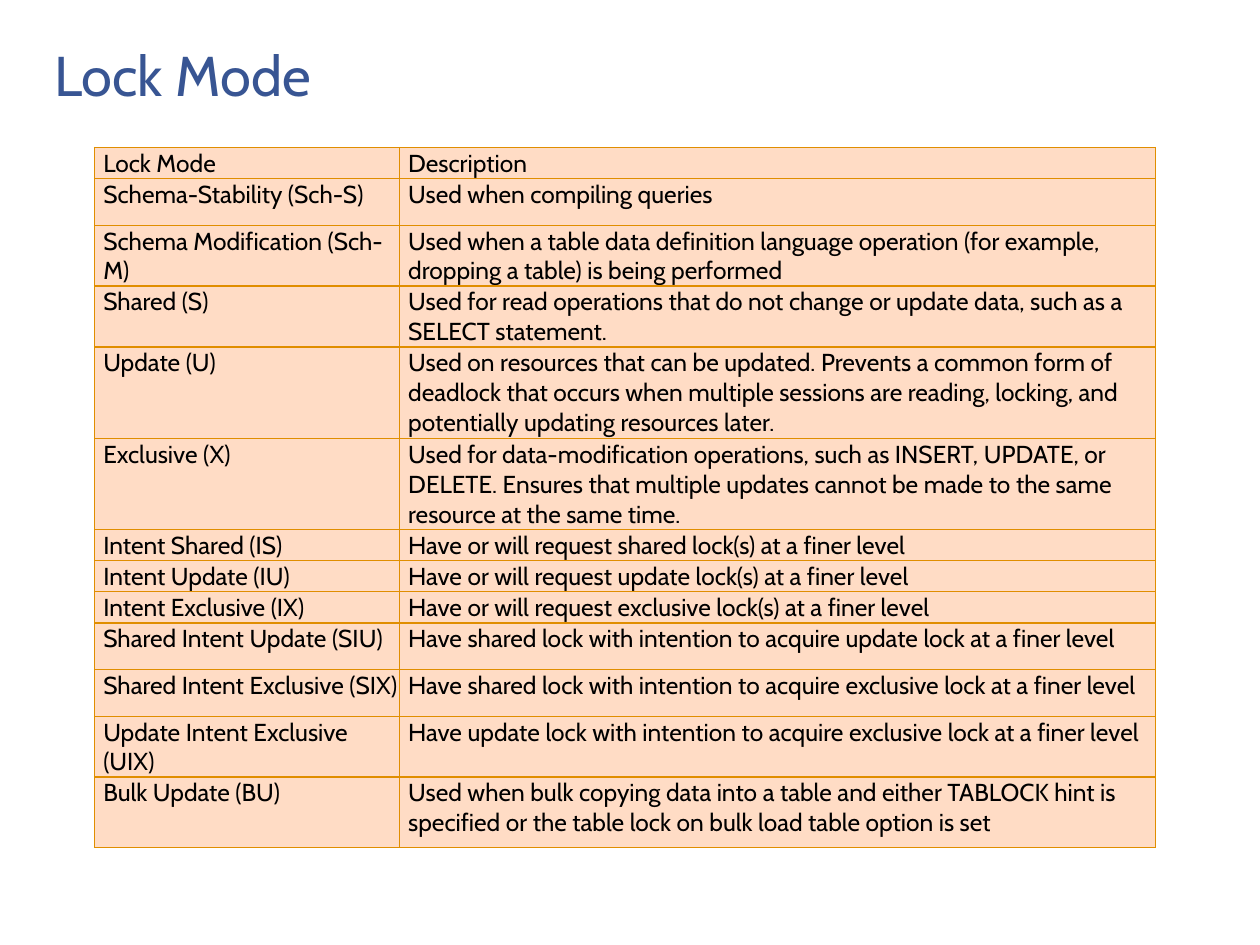
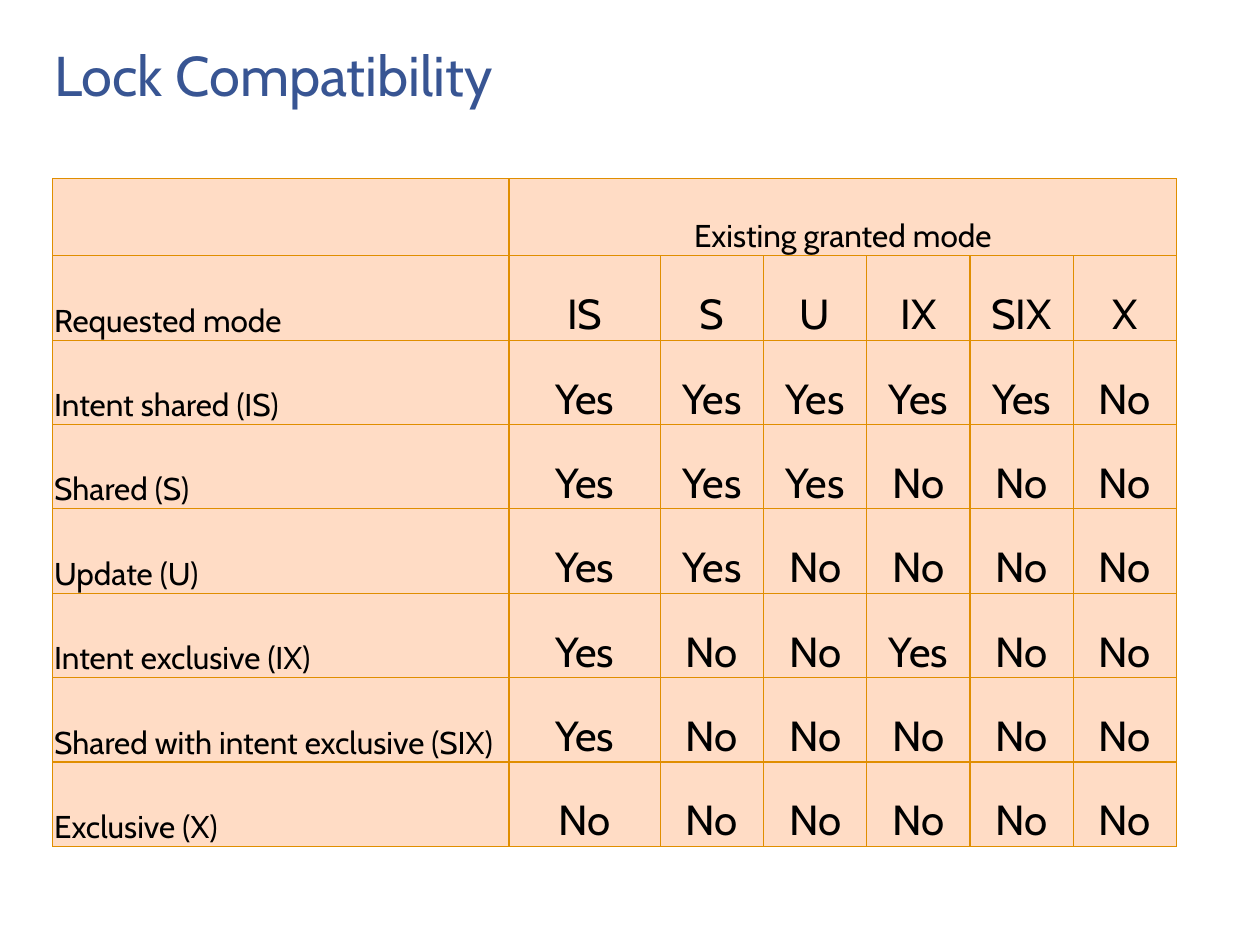
from dataclasses import dataclass

from lxml import etree
from pptx import Presentation
from pptx.dml.color import RGBColor
from pptx.enum.text import MSO_ANCHOR, MSO_AUTO_SIZE, PP_ALIGN
from pptx.oxml.ns import qn
from pptx.util import Inches, Pt

LEFT, CENTER = PP_ALIGN.LEFT, PP_ALIGN.CENTER
TOP, MIDDLE, BOTTOM = MSO_ANCHOR.TOP, MSO_ANCHOR.MIDDLE, MSO_ANCHOR.BOTTOM
NO_AUTOFIT = MSO_AUTO_SIZE.NONE
TITLE_ONLY = 5


@dataclass(frozen=True)
class Theme:
    font: str = "Cabin"
    title_color: str = "385593"
    text_color: str = "000000"
    cell_fill: str = "FFDCC5"
    border_color: str = "E08E00"
    border_width: float = 0.75
    title_size: int = 32
    description_size: int = 14
    label_size: int = 18
    answer_size: int = 24


THEME = Theme()


def write(frame, text, size, color, align):
    para = frame.paragraphs[0]
    para.alignment = align
    span = para.add_run()
    span.text = text
    span.font.name = THEME.font
    span.font.size = Pt(size)
    span.font.bold = False
    span.font.color.rgb = RGBColor.from_string(color)


def add_grid(page, place, widths, heights, left_inset, anchor):
    """Add an empty table with the shared fill, borders and margins."""
    box = page.shapes.add_table(len(heights), len(widths), *map(Inches, place))
    table = box.table
    table.first_row = table.horz_banding = False
    for column, width in zip(table.columns, widths):
        column.width = Inches(width)
    for row, height in zip(table.rows, heights):
        row.height = Inches(height)
    box.height = Inches(place[3])  # rows grow with their text inside this frame

    for cell in table.iter_cells():
        cell.margin_left = Inches(left_inset)
        cell.margin_top = cell.margin_right = Inches(0.01)
        cell.margin_bottom = 0
        cell.vertical_anchor = anchor
        properties = cell._tc.get_or_add_tcPr()
        for side in ("lnL", "lnR", "lnT", "lnB"):
            line = etree.SubElement(properties, qn("a:" + side), w=str(Pt(THEME.border_width)))
            solid = etree.SubElement(line, qn("a:solidFill"))
            etree.SubElement(solid, qn("a:srgbClr"), val=THEME.border_color)
        cell.fill.solid()
        cell.fill.fore_color.rgb = RGBColor.from_string(THEME.cell_fill)
    return table


deck = Presentation()
deck.slide_width, deck.slide_height = Inches(10), Inches(7.5)

# Pages and their titles
pages = []
for heading in ("Lock Mode", "Lock Compatibility"):
    page = deck.slides.add_slide(deck.slide_layouts[TITLE_ONLY])
    title = page.shapes.title
    title.left, title.top = Inches(0.33), Inches(0.25)
    title.width, title.height = Inches(9.33), Inches(0.67)
    title.text_frame.auto_size = NO_AUTOFIT
    title.text_frame.vertical_anchor = MIDDLE
    write(title.text_frame, heading, THEME.title_size, THEME.title_color, LEFT)
    pages.append(page)
mode_page, compatibility_page = pages

# Lock modes: row height, mode, description
lock_modes = [
    (0.18, "Lock Mode", "Description"),
    (0.37, "Schema-Stability (Sch-S)", "Used when compiling queries"),
    (0.37, "Schema Modification (Sch-M)",
     "Used when a table data definition language operation (for example, "
     "dropping a table) is being performed"),
    (0.37, "Shared (S)",
     "Used for read operations that do not change or update data, such as a "
     "SELECT statement."),
    (0.73, "Update (U)",
     "Used on resources that can be updated. Prevents a common form of "
     "deadlock that occurs when multiple sessions are reading, locking, and "
     "potentially updating resources later."),
    (0.55, "Exclusive (X)",
     "Used for data-modification operations, such as INSERT, UPDATE, or "
     "DELETE. Ensures that multiple updates cannot be made to the same "
     "resource at the same time."),
    (0.18, "Intent Shared (IS)", "Have or will request shared lock(s) at a finer level"),
    (0.18, "Intent Update (IU)", "Have or will request update lock(s) at a finer level"),
    (0.18, "Intent Exclusive (IX)", "Have or will request exclusive lock(s) at a finer level"),
    (0.37, "Shared Intent Update (SIU)",
     "Have shared lock with intention to acquire update lock at a finer level"),
    (0.37, "Shared Intent Exclusive (SIX)",
     "Have shared lock with intention to acquire exclusive lock at a finer level"),
    (0.37, "Update Intent Exclusive (UIX)",
     "Have update lock with intention to acquire exclusive lock at a finer level"),
    (0.56, "Bulk Update (BU)",
     "Used when bulk copying data into a table and either TABLOCK hint is "
     "specified or the table lock on bulk load table option is set"),
]
mode_table = add_grid(mode_page, (0.75, 1.17, 8.42, 5.71), [2.42, 6],
                      [height for height, *_ in lock_modes], 0.07, TOP)
for row, (_, *texts) in enumerate(lock_modes):
    for column, text in enumerate(texts):
        write(mode_table.cell(row, column).text_frame, text,
              THEME.description_size, THEME.text_color, LEFT)

# Compatibility matrix: requested mode against existing granted mode
matrix = [
    ("Requested mode", "IS S U IX SIX X"),
    ("Intent shared (IS)", "Yes Yes Yes Yes Yes No"),
    ("Shared (S)", "Yes Yes Yes No No No"),
    ("Update (U)", "Yes Yes No No No No"),
    ("Intent exclusive (IX)", "Yes No No Yes No No"),
    ("Shared with intent exclusive (SIX)", "Yes No No No No No"),
    ("Exclusive (X)", "No No No No No No"),
]
matrix_table = add_grid(compatibility_page, (0.42, 1.42, 8.92, 5.33),
                        [3.62, 1.2] + [0.82] * 5, [0.61] + [0.67] * len(matrix),
                        0.01, BOTTOM)
granted = matrix_table.cell(0, 1)
granted.merge(matrix_table.cell(0, 6))
write(granted.text_frame, "Existing granted mode", THEME.label_size, THEME.text_color, CENTER)
for row, (label, answers) in enumerate(matrix, start=1):
    write(matrix_table.cell(row, 0).text_frame, label,
          THEME.label_size, THEME.text_color, LEFT)
    for column, answer in enumerate(answers.split(), start=1):
        write(matrix_table.cell(row, column).text_frame, answer,
              THEME.answer_size, THEME.text_color, CENTER)

deck.save("out.pptx")
